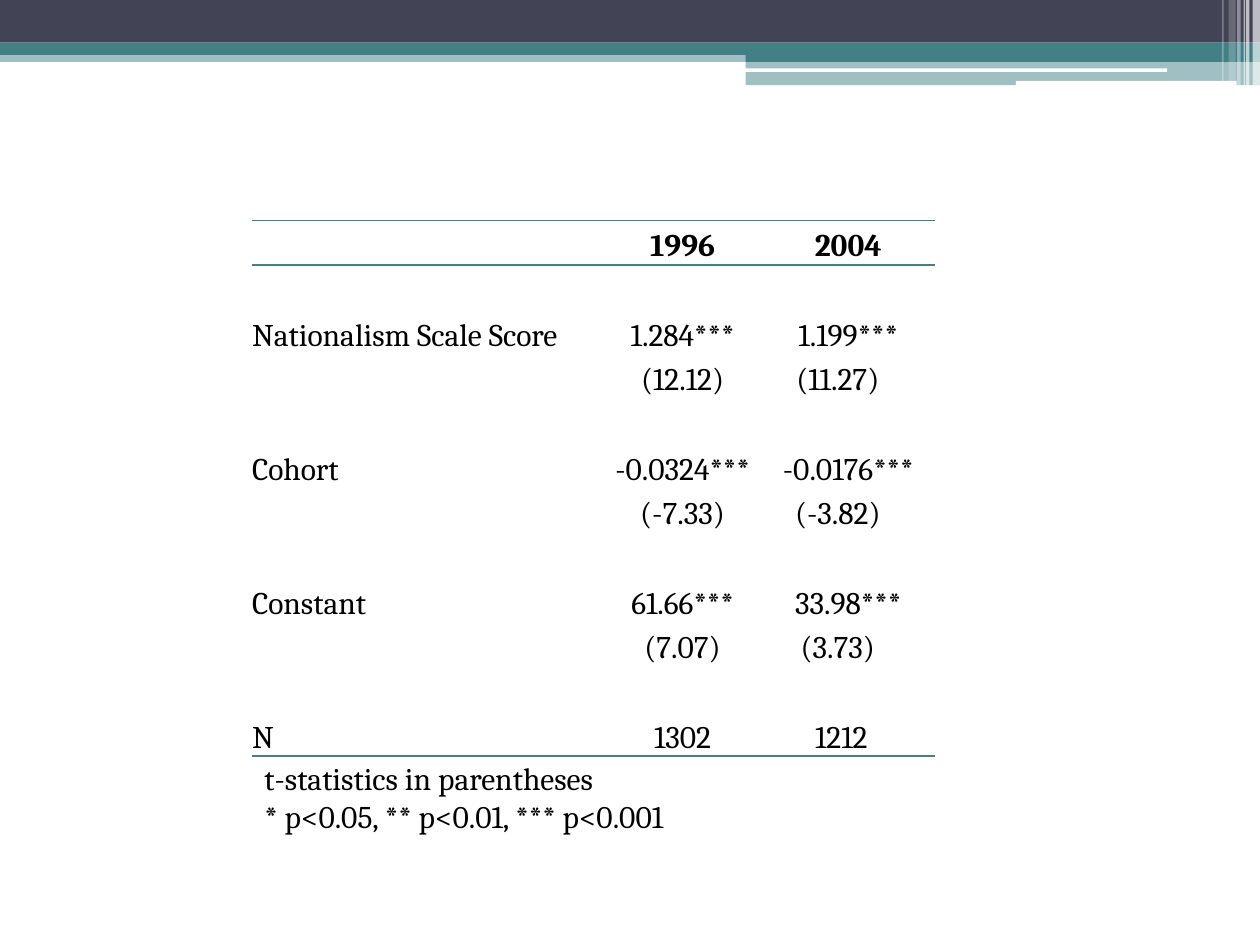
"""Build the regression results slide with its banner, table and notes."""
from lxml.etree import SubElement
from pptx import Presentation
from pptx.dml.color import RGBColor
from pptx.enum.shapes import MSO_SHAPE as Shape
from pptx.enum.text import MSO_ANCHOR as Anchor, PP_ALIGN as Align
from pptx.oxml import parse_xml
from pptx.oxml.ns import nsdecls, qn
from pptx.util import Cm, Pt

COLORS = {"slate": "424456", "teal": "438086", "white": "FFFFFF", "black": "000000"}
FONT = "Cambria"
NO_GRID_STYLE = "{2D5ABB26-0587-4C30-8999-92F81FD0307C}"


def style(para, align=Align.LEFT, bold=False):
    para.alignment = align
    para.font.name = FONT
    para.font.size = Pt(18)
    para.font.bold = bold
    para.font.color.rgb = RGBColor.from_string(COLORS["black"])


def add_border(cell, side):
    cell._tc.get_or_add_tcPr().insert(0, parse_xml(
        f'<a:{side} {nsdecls("a")} w="12700"><a:solidFill>'
        f'<a:srgbClr val="{COLORS["teal"]}"/></a:solidFill></a:{side}>'))


deck = Presentation()
deck.slide_width, deck.slide_height = Cm(25.4), Cm(19.05)
page = deck.slides.add_slide(deck.slide_layouts[6])

banner = [
    (Shape.RECTANGLE, 0, 1.02, 25.4, 0.23, "teal", 50),
    (Shape.RECTANGLE, 0, 0, 25.4, 0.86, "slate", 100),
    (Shape.RECTANGLE, 0, 0.86, 25.4, 0.25, "teal", 100),
    (Shape.RECTANGLE, 15.03, 1, 10.37, 0.25, "teal", 100),
    (Shape.RECTANGLE, 15.03, 1.22, 10.37, 0.5, "teal", 50),
    (Shape.ROUNDED_RECTANGLE, 15.02, 1.38, 8.51, 0.07, "white", 100),
    (Shape.ROUNDED_RECTANGLE, 20.48, 1.63, 4.45, 0.1, "white", 100),
    (Shape.RECTANGLE, 25.25, 0, 0.15, 1.73, "white", 65),
    (Shape.RECTANGLE, 25.12, 0, 0.07, 1.73, "white", 65),
    (Shape.RECTANGLE, 25.07, 0, 0.03, 1.73, "white", 60),
    (Shape.RECTANGLE, 24.94, 0, 0.07, 1.73, "white", 40),
    (Shape.RECTANGLE, 24.77, 0, 0.14, 1.63, "white", 20),
    (Shape.RECTANGLE, 24.64, 0, 0.03, 1.63, "white", 30),
]
for kind, left, top, width, height, color, opacity in banner:
    bar = page.shapes.add_shape(kind, Cm(left), Cm(top), Cm(width), Cm(height))
    bar.shadow.inherit = False
    bar.line.fill.background()
    bar.fill.solid()
    bar.fill.fore_color.rgb = RGBColor.from_string(COLORS[color])
    if opacity < 100:
        tint = bar._element.spPr.find(".//" + qn("a:srgbClr"))
        SubElement(tint, qn("a:alpha"), val=str(opacity * 1000))

notes = page.shapes.add_textbox(Cm(5.08), Cm(14.4), Cm(12.27), Cm(3.33)).text_frame
notes.word_wrap = True
notes.margin_top = Cm(0.9)
notes.text = "t-statistics in parentheses\n* p<0.05, ** p<0.01, *** p<0.001"
for para in notes.paragraphs:
    style(para)

blank = ("", "", "")
results = [
    ("", "1996", "2004"),
    blank,
    ("Nationalism Scale Score", "1.284***", "1.199***"),
    ("", "(12.12)", "(11.27)"),
    blank,
    ("Cohort", "-0.0324***", "-0.0176***"),
    ("", "(-7.33)", "(-3.82)"),
    blank,
    ("Constant", "61.66***", "33.98***"),
    ("", "(7.07)", "(3.73)"),
    blank,
    ("N", "1302", "1212"),
]
last = len(results) - 1
right_insets = {(3, 2): 0.42, (6, 2): 0.42, (9, 2): 0.42, (last, 2): 0.28}
borders = {0: ("lnB", "lnT"), last: ("lnB",)}

table = page.shapes.add_table(
    len(results), 3, Cm(5.08), Cm(4.44), Cm(13.77), Cm(10.8)).table
table.first_row = table.horz_banding = False
table._tbl.tblPr.find(qn("a:tableStyleId")).text = NO_GRID_STYLE
for column, width in zip(table.columns, (7.09, 3.18, 3.5)):
    column.width = Cm(width)

for r, values in enumerate(results):
    table.rows[r].height = Cm(0.9)
    for c, value in enumerate(values):
        cell = table.cell(r, c)
        cell.fill.background()
        cell.margin_left = cell.margin_top = cell.margin_bottom = 0
        cell.margin_right = Cm(right_insets.get((r, c), 0))
        cell.vertical_anchor = Anchor.BOTTOM
        cell.text = value
        style(cell.text_frame.paragraphs[0], Align.CENTER if c else Align.LEFT, r == 0)
        for side in borders.get(r, ()):
            add_border(cell, side)

deck.save("out.pptx")
